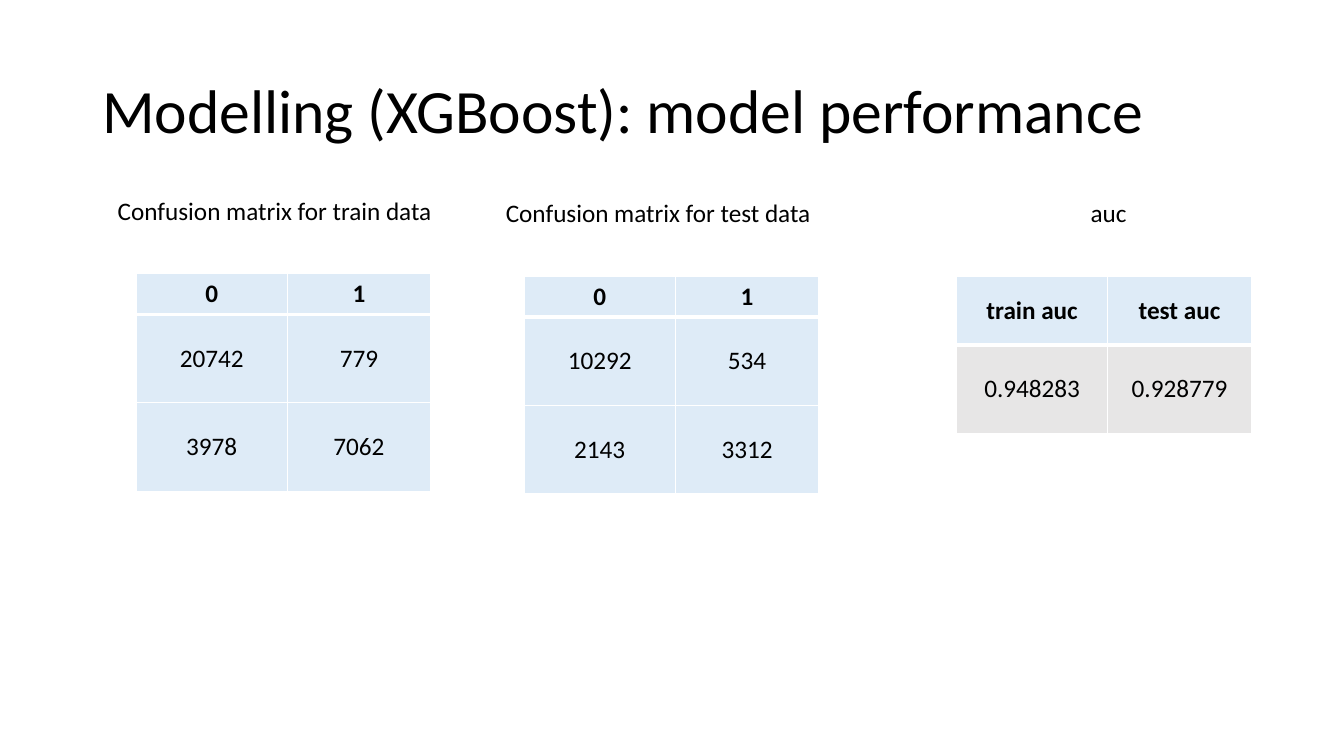
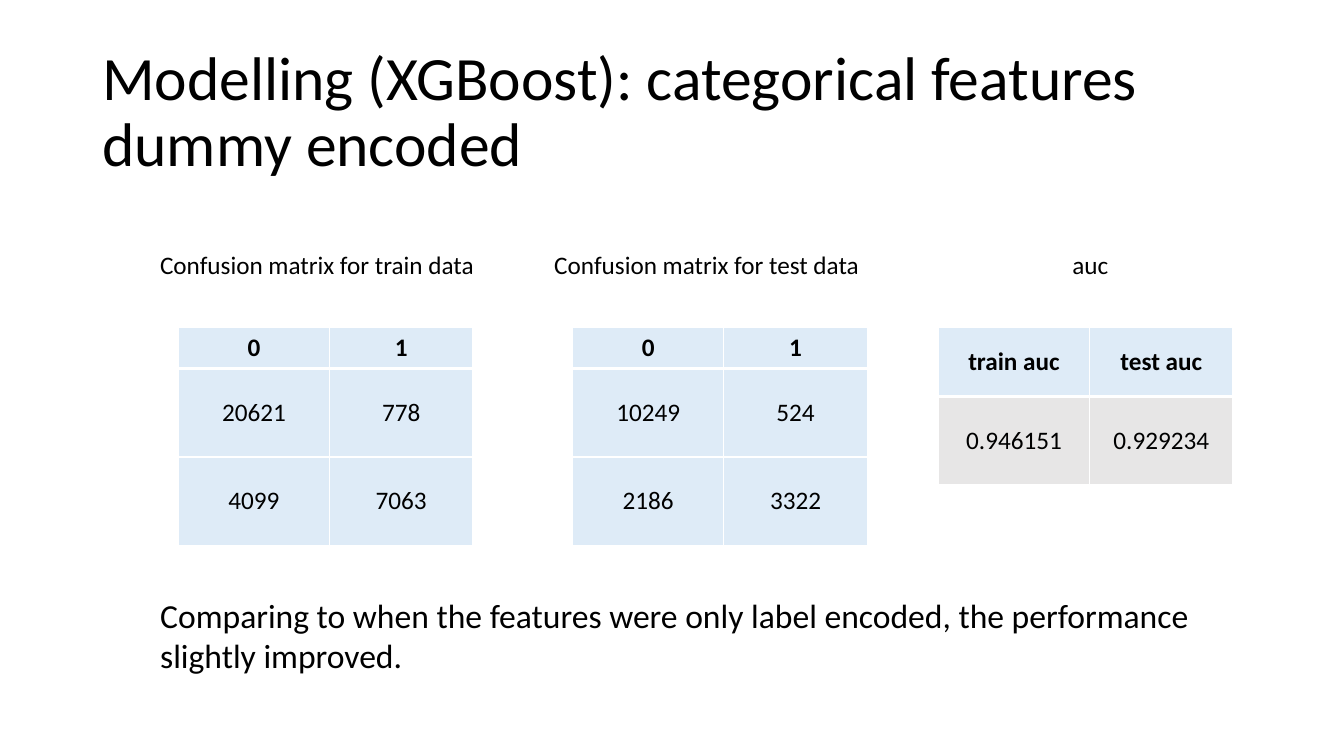
from dataclasses import dataclass

from lxml.etree import SubElement
from pptx import Presentation
from pptx.dml.color import RGBColor
from pptx.enum.text import MSO_ANCHOR, PP_ALIGN
from pptx.oxml.ns import qn
from pptx.util import Pt


@dataclass(frozen=True)
class Theme:
    font: str = "Calibri"
    text: str = "000000"
    matrix_fill: str = "DEEBF7"
    score_fill: str = "E7E6E6"
    border: str = "FFFFFF"
    title_size: int = 44
    conclusion_size: int = 24
    body_size: int = 18


class Deck:
    COLUMN_WIDTHS = (108, 102.5)
    DATA_ROW_HEIGHT = 63.2
    CAPTION_RISE = 60

    def __init__(self, theme):
        self.theme = theme
        self.presentation = Presentation()
        self.presentation.slide_width = Pt(960)
        self.presentation.slide_height = Pt(540)
        self.slide = None

    def add_slide(self, title):
        blank_layout = self.presentation.slide_layouts[6]
        self.slide = self.presentation.slides.add_slide(blank_layout)
        text_frame = self.add_text(66, 29, 828, 104.4, title, self.theme.title_size)
        text_frame.vertical_anchor = MSO_ANCHOR.MIDDLE
        text_frame.paragraphs[0].line_spacing = 0.9

    def format_runs(self, text_frame, size, bold=False):
        for paragraph in text_frame.paragraphs:
            for run in paragraph.runs:
                run.font.name = self.theme.font
                run.font.size = Pt(size)
                run.font.bold = bold
                run.font.color.rgb = RGBColor.from_string(self.theme.text)

    def add_text(self, left, top, width, height, text, size):
        shape = self.slide.shapes.add_textbox(Pt(left), Pt(top), Pt(width), Pt(height))
        text_frame = shape.text_frame
        text_frame.word_wrap = True
        text_frame.text = text
        self.format_runs(text_frame, size)
        return text_frame

    def add_borders(self, cell, bottom_width):
        properties = cell._tc.get_or_add_tcPr()
        widths = {"a:lnL": 1, "a:lnR": 1, "a:lnT": 1, "a:lnB": bottom_width}
        for edge, width in widths.items():
            line = SubElement(properties, qn(edge), w=str(Pt(width)))
            fill = SubElement(line, qn("a:solidFill"))
            SubElement(fill, qn("a:srgbClr"), val=self.theme.border)

    def format_cell(self, cell, value, fill, is_header):
        self.add_borders(cell, 3 if is_header else 1)
        cell.fill.solid()
        cell.fill.fore_color.rgb = RGBColor.from_string(fill)
        cell.vertical_anchor = MSO_ANCHOR.MIDDLE
        cell.text_frame.text = value
        cell.text_frame.paragraphs[0].alignment = PP_ALIGN.CENTER
        self.format_runs(cell.text_frame, self.theme.body_size, is_header)

    def add_table(self, left, top, values, header_height, data_fill):
        heights = [header_height] + [self.DATA_ROW_HEIGHT] * (len(values) - 1)
        frame = self.slide.shapes.add_table(
            len(values), len(self.COLUMN_WIDTHS), Pt(left), Pt(top),
            Pt(sum(self.COLUMN_WIDTHS)), Pt(sum(heights)))
        table = frame.table
        table.first_row = True
        table.horz_banding = False
        for column, width in zip(table.columns, self.COLUMN_WIDTHS):
            column.width = Pt(width)
        for row_index, row_values in enumerate(values):
            table.rows[row_index].height = Pt(heights[row_index])
            is_header = row_index == 0
            fill = self.theme.matrix_fill if is_header else data_fill
            for column_index, value in enumerate(row_values):
                self.format_cell(table.cell(row_index, column_index), value, fill, is_header)

    def add_confusion_matrix(self, left, top, data_name, counts):
        self.add_text(left - 20.2, top - self.CAPTION_RISE, 251.3, 29,
                      f"Confusion matrix for {data_name} data", self.theme.body_size)
        self.add_table(left, top, [("0", "1"), *counts], 29, self.theme.matrix_fill)

    def add_auc_table(self, left, top, scores):
        self.add_text(left + 88.6, top - self.CAPTION_RISE, 63.4, 29,
                      "auc", self.theme.body_size)
        self.add_table(left, top, [("train auc", "test auc"), scores], 49,
                       self.theme.score_fill)

    def add_conclusion(self, text):
        self.add_text(107.3, 421.2, 774, 65.5, text, self.theme.conclusion_size)

    def save(self):
        self.presentation.save("out.pptx")


def main():
    deck = Deck(Theme())

    deck.add_slide("Modelling (XGBoost): model performance")
    deck.add_confusion_matrix(97.2, 195.6, "train", [("20742", "779"), ("3978", "7062")])
    deck.add_confusion_matrix(374.4, 197.4, "test", [("10292", "534"), ("2143", "3312")])
    deck.add_auc_table(683.3, 197.4, ("0.948283", "0.928779"))

    deck.add_slide("Modelling (XGBoost): categorical features dummy encoded")
    deck.add_confusion_matrix(127.4, 234.2, "train", [("20621", "778"), ("4099", "7063")])
    deck.add_confusion_matrix(409, 234.2, "test", [("10249", "524"), ("2186", "3322")])
    deck.add_auc_table(670.3, 234.2, ("0.946151", "0.929234"))
    deck.add_conclusion("Comparing to when the features were only label encoded, "
                        "the performance slightly improved.")

    deck.save()


if __name__ == "__main__":
    main()
